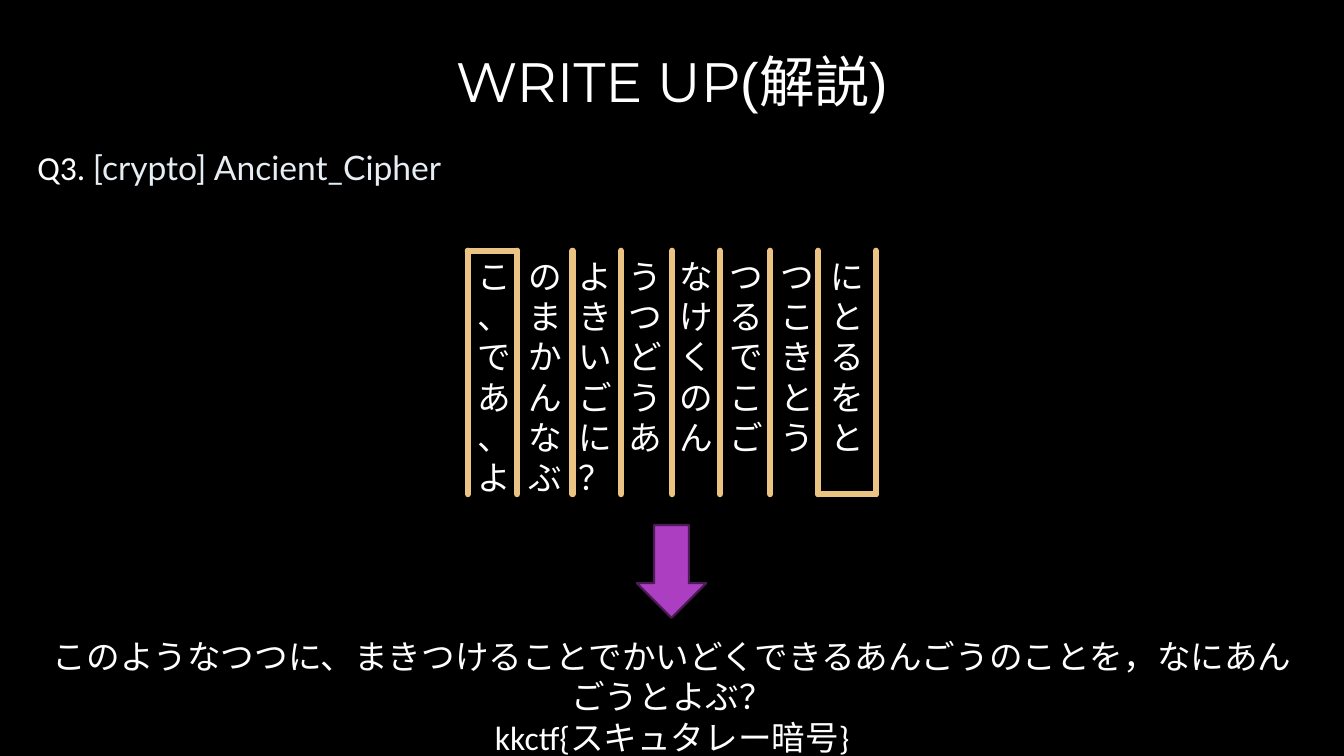
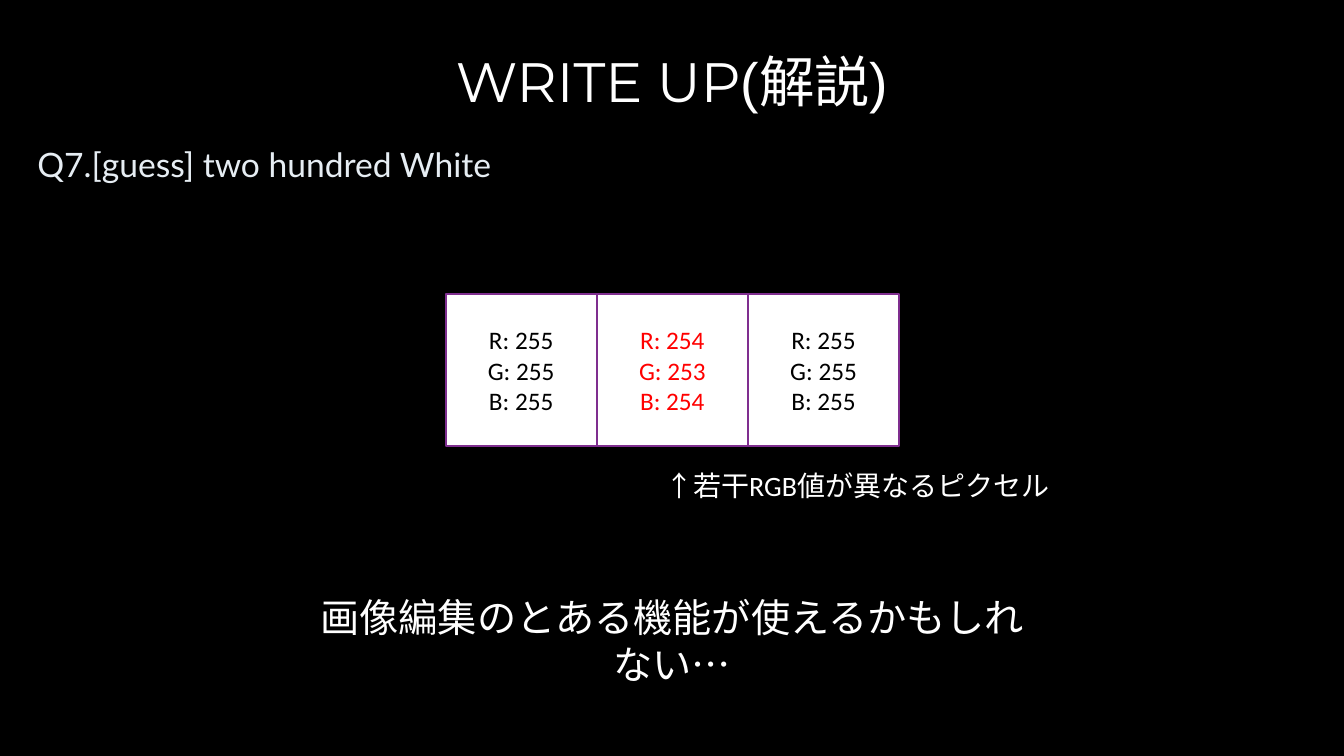
from dataclasses import dataclass

from lxml import etree
from pptx import Presentation
from pptx.dml.color import RGBColor
from pptx.enum.shapes import MSO_CONNECTOR, MSO_SHAPE
from pptx.enum.text import MSO_ANCHOR, PP_ALIGN
from pptx.oxml.ns import qn
from pptx.util import Cm, Pt

STRAIGHT = MSO_CONNECTOR.STRAIGHT
RECTANGLE, DOWN_ARROW = MSO_SHAPE.RECTANGLE, MSO_SHAPE.DOWN_ARROW
LEFT, CENTER = PP_ALIGN.LEFT, PP_ALIGN.CENTER
TOP, MIDDLE = MSO_ANCHOR.TOP, MSO_ANCHOR.MIDDLE


@dataclass(frozen=True)
class Theme:
    """Colours, fonts and type sizes shared by the slides."""
    background: str = "000000"
    text: str = "FFFFFF"
    heading: str = "E6EDF3"
    divider: str = "EBC483"
    arrow: str = "AC3EC1"
    arrow_line: str = "4B1B55"
    pixel: str = "FFFFFF"
    pixel_line: str = "7F2E8F"
    pixel_text: str = "000000"
    odd_pixel_text: str = "FF0000"
    body_font: str = "Calibri"
    heading_font: str = "Lato"
    title_font: str = "Montserrat"
    title_second_font: str = "Arial"
    title_size: float = 39.6
    body_size: float = 24
    pixel_size: float = 18
    caption_size: float = 20
    hint_size: float = 28
    outline: float = 1.5
    divider_width: float = 4.5


THEME = Theme()

# Content. A line is a string, or a list of (text, font, colour) runs.
TITLE = [("WRITE UP", THEME.title_font, THEME.text),
         ("(解説)", THEME.title_second_font, THEME.text)]
CIPHER_HEADING = [("Q3. ", THEME.body_font, THEME.text),
                  ("[crypto] Ancient_Cipher", THEME.heading_font, THEME.heading)]
CIPHER_ROWS = ["このようなつつに", "、まきつけること", "でかいどくできる",
               "あんごうのことを", "、なにあんごうと", "よぶ？"]
CIPHER_ANSWER = [
    "このようなつつに、まきつけることでかいどくできるあんごうのことを，なにあんごうとよぶ？",
    "kkctf{スキュタレー暗号}",
]
PIXEL_HEADING = [("Q7.[guess] two hundred White", THEME.heading_font, THEME.heading)]
PIXELS = [
    ((255, 255, 255), THEME.pixel_text),
    ((254, 253, 254), THEME.odd_pixel_text),
    ((255, 255, 255), THEME.pixel_text),
]
PIXEL_CAPTION = "↑若干RGB値が異なるピクセル"
PIXEL_HINT = "画像編集のとある機能が使えるかもしれない…"

# Geometry in centimetres.
SLIDE_SIZE = (33.87, 19.05)
DIVIDER_X = [11.79, 13.03, 14.43, 15.65, 16.94, 18.14, 19.41, 20.62, 22.07]
DIVIDER_TOP, DIVIDER_BOTTOM = 6.32, 12.45
CIPHER_COLUMN = 1.27
PIXEL_LEFT, PIXEL_TOP, PIXEL_SIDE = 11.23, 7.42, 3.81


def color(value):
    """Turn a hex string into a colour."""
    return RGBColor.from_string(value)


def write(shape, lines, size=THEME.body_size, font=THEME.body_font,
          text_color=THEME.text, align=LEFT, anchor=TOP):
    """Fill a shape with lines of text and return its text frame."""
    frame = shape.text_frame
    frame.word_wrap = True
    frame.vertical_anchor = anchor
    for index, line in enumerate(lines):
        paragraph = frame.add_paragraph() if index else frame.paragraphs[0]
        paragraph.alignment = align
        runs = [(line, font, text_color)] if isinstance(line, str) else line
        for text, run_font, run_color in runs:
            run = paragraph.add_run()
            run.text = text
            run.font.name = run_font
            run.font.size = Pt(size)
            run.font.color.rgb = color(run_color)
    return frame


def add_text(shapes, box, lines, **text_format):
    """Add a text box at box (left, top, width, height)."""
    return write(shapes.add_textbox(*map(Cm, box)), lines, **text_format)


def add_figure(shapes, kind, box, fill, line):
    """Add a filled, outlined preset shape."""
    shape = shapes.add_shape(kind, *map(Cm, box))
    shape.shadow.inherit = False
    shape.fill.solid()
    shape.fill.fore_color.rgb = color(fill)
    shape.line.color.rgb = color(line)
    shape.line.width = Pt(THEME.outline)
    return shape


def add_divider(shapes, *ends):
    """Add a round-capped line from (x, y) to (x, y)."""
    connector = shapes.add_connector(STRAIGHT, *map(Cm, ends))
    connector.line.color.rgb = color(THEME.divider)
    connector.line.width = Pt(THEME.divider_width)
    properties = connector._element.spPr
    properties.find(qn("a:ln")).set("cap", "rnd")
    etree.SubElement(properties, qn("a:effectLst"))


def set_tabs(paragraph, step, count):
    """Give a paragraph evenly spaced tab stops."""
    tabs = etree.SubElement(paragraph._p.get_or_add_pPr(), qn("a:tabLst"))
    for number in range(1, count + 1):
        etree.SubElement(tabs, qn("a:tab"), pos=str(Cm(step * number)), algn="l")


def add_question(presentation, heading, heading_height):
    """Add a slide with the shared background, title and question heading."""
    slide = presentation.slides.add_slide(presentation.slide_layouts[6])
    slide.background.fill.solid()
    slide.background.fill.fore_color.rgb = color(THEME.background)
    add_text(slide.shapes, (2.87, 1.07, 28.14, 1.9), [TITLE],
             size=THEME.title_size, align=CENTER, anchor=MIDDLE)
    add_text(slide.shapes, (0.69, 3.48, 32.51, heading_height), [heading],
             anchor=MIDDLE)
    return slide


def build_cipher(presentation):
    """Build the slide that unrolls the cipher strip."""
    slide = add_question(presentation, CIPHER_HEADING, 1.45)
    strip = slide.shapes.add_group_shape().shapes
    frame = add_text(strip, (DIVIDER_X[0], DIVIDER_TOP, 11, 6.4),
                     ["\t".join(row) for row in CIPHER_ROWS])
    for paragraph in frame.paragraphs:
        set_tabs(paragraph, CIPHER_COLUMN, len(CIPHER_ROWS[0]) - 1)
    for x in DIVIDER_X:
        add_divider(strip, x, DIVIDER_TOP, x, DIVIDER_BOTTOM)
    for (start, end), y in ((DIVIDER_X[:2], DIVIDER_TOP),
                            (DIVIDER_X[-2:], DIVIDER_BOTTOM)):
        add_divider(strip, start, y, end, y)
    add_figure(slide.shapes, DOWN_ARROW, (16.05, 13.23, 1.75, 2.34),
               THEME.arrow, THEME.arrow_line)
    add_text(slide.shapes, (0.71, 15.9, 32.46, 2.31), CIPHER_ANSWER, align=CENTER)


def build_pixels(presentation):
    """Build the slide that compares neighbouring pixels."""
    slide = add_question(presentation, PIXEL_HEADING, 1.3)
    row = slide.shapes.add_group_shape().shapes
    for index, (values, text_color) in enumerate(PIXELS):
        box = (PIXEL_LEFT + index * PIXEL_SIDE, PIXEL_TOP, PIXEL_SIDE, PIXEL_SIDE)
        pixel = add_figure(row, RECTANGLE, box, THEME.pixel, THEME.pixel_line)
        write(pixel, [f"{channel}: {value}" for channel, value in zip("RGB", values)],
              size=THEME.pixel_size, text_color=text_color,
              align=CENTER, anchor=MIDDLE)
    add_text(slide.shapes, (16.51, 11.68, 10.8, 1.12), [PIXEL_CAPTION],
             size=THEME.caption_size)
    add_text(slide.shapes, (7.34, 14.83, 19.2, 1.45), [PIXEL_HINT],
             size=THEME.hint_size, align=CENTER)


def main():
    """Build and save the presentation."""
    presentation = Presentation()
    presentation.slide_width, presentation.slide_height = map(Cm, SLIDE_SIZE)
    build_cipher(presentation)
    build_pixels(presentation)
    presentation.save("out.pptx")


main()
